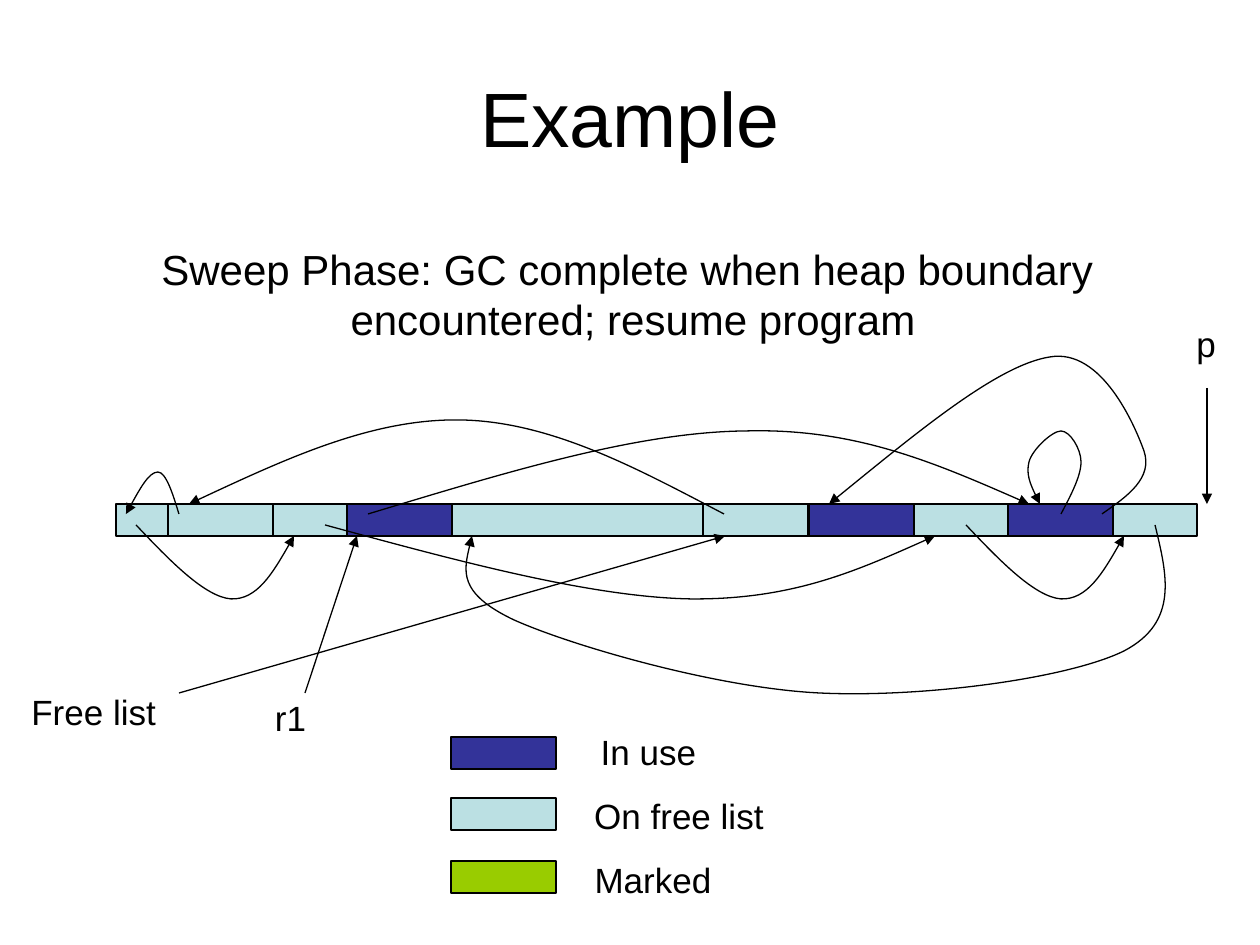
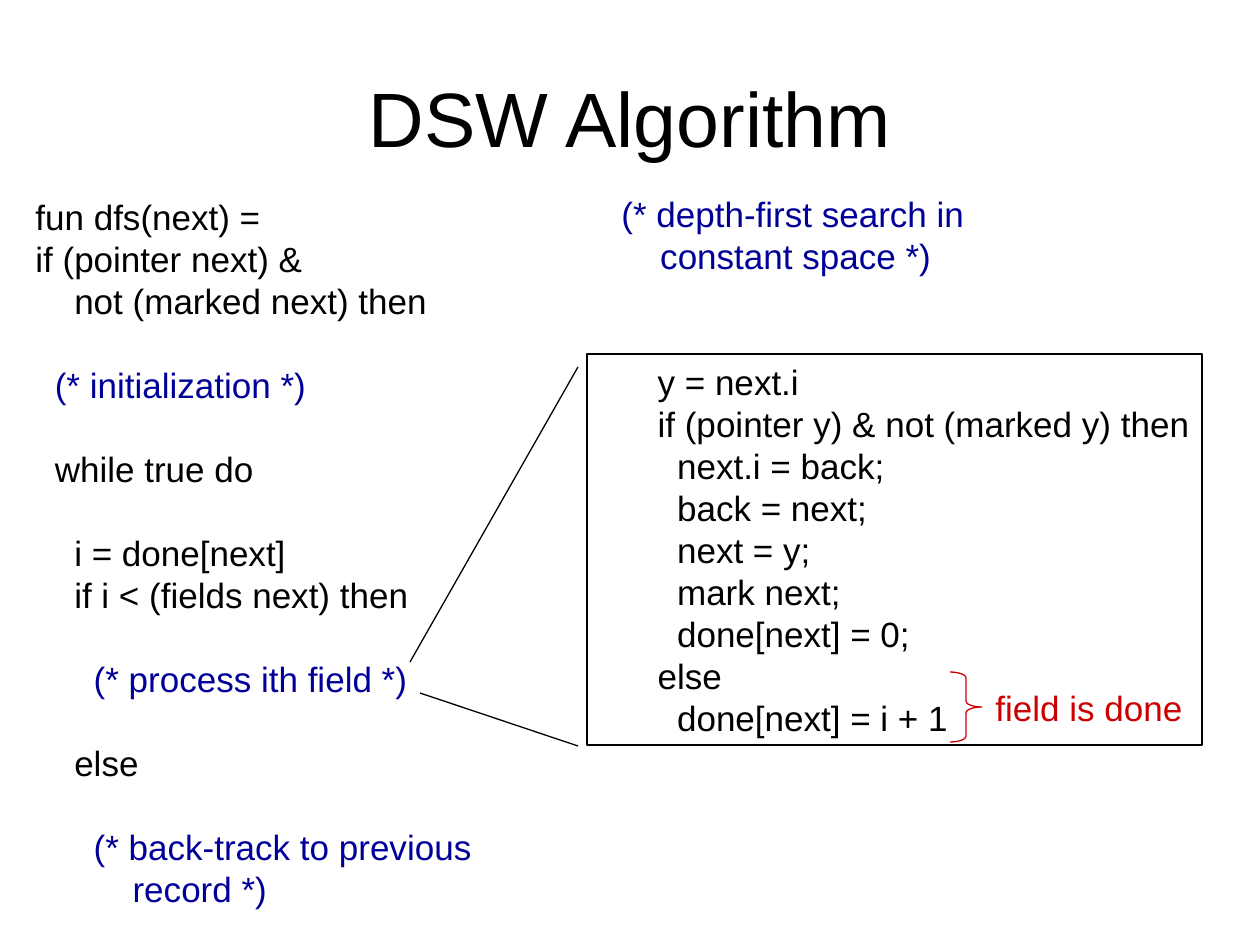
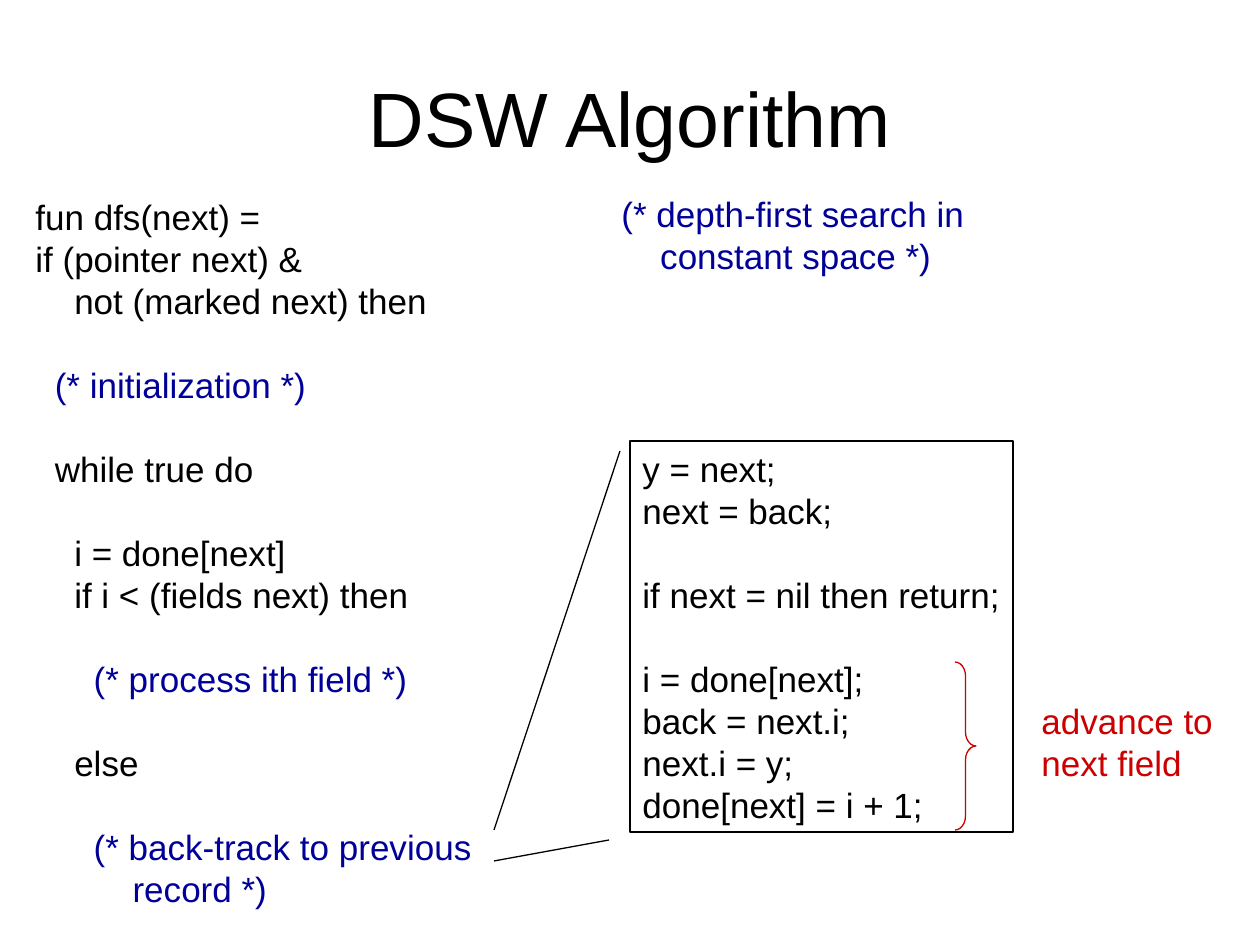
from lxml import etree
from pptx import Presentation
from pptx import util as u
from pptx.dml.color import RGBColor
from pptx.enum import shapes, text
from pptx.oxml.ns import qn

BLACK, BLUE, RED = "000000", "000099", "CC0000"
IN_USE, FREE, MARKED = "333399", "BBE0E3", "99CC00"
SHAPE = shapes.MSO_SHAPE
LEFT, CENTER = text.PP_ALIGN.LEFT, text.PP_ALIGN.CENTER
TOP, MIDDLE = text.MSO_ANCHOR.TOP, text.MSO_ANCHOR.MIDDLE

DFS_CODE = """fun dfs(next) =
if (pointer next) &
    not (marked next) then

  (* initialization *)

  while true do

    i = done[next]
    if i < (fields next) then

      (* process ith field *)

    else

      (* back-track to previous
          record *)"""

DFS_COMMENT = """(* depth-first search in
    constant space *)"""

FIELD_CODE = """      y = next.i
      if (pointer y) & not (marked y) then
        next.i = back;
        back = next;
        next = y;
        mark next;
        done[next] = 0;
      else
        done[next] = i + 1"""

BACKTRACK_CODE = """y = next;
next = back;

if next = nil then return;

i = done[next];
back = next.i;
next.i = y;
done[next] = i + 1;"""

NEXT_FREE = [(136, 525), (170, 561), (205, 597), (231, 599),
             (257, 600), (276, 568), (294, 536)]
POINTERS = [
    NEXT_FREE,
    [(x + 830, y) for x, y in NEXT_FREE],
    [(325, 525), (457, 561), (590, 597), (690, 599),
     (793, 600), (863, 568), (935, 536)],
    [(1155, 525), (1167, 575), (1179, 622), (1124, 651),
     (1067, 679), (921, 698), (819, 693),
     (717, 688), (572, 646), (514, 620),
     (457, 593), (465, 564), (472, 536)],
    [(368, 514), (501, 474), (635, 432), (746, 431),
     (856, 428), (942, 466), (1029, 504)],
    [(1061, 514), (1071, 495), (1081, 476), (1081, 462),
     (1081, 449), (1070, 431), (1061, 431),
     (1052, 431), (1032, 450), (1029, 462),
     (1026, 474), (1032, 489), (1040, 504)],
    [(1102, 514), (1128, 496), (1153, 478), (1144, 451),
     (1135, 426), (1102, 348), (1050, 357),
     (998, 365), (914, 435), (829, 504)],
    [(179, 514), (173, 494), (166, 472), (158, 472),
     (149, 472), (137, 494), (126, 514)],
    [(724, 514), (638, 469), (552, 422), (462, 420),
     (373, 418), (281, 461), (189, 504)],
]


def px(n):
    return u.Emu(round(n * 914400 / 126))


def rgb(value):
    return RGBColor.from_string(value)


def outline(sp, color=BLACK, arrow=False):
    sp.line.color.rgb = rgb(color)
    sp.line.width = u.Pt(0.75)
    if arrow:
        ln = sp._element.spPr.find(qn("a:ln"))
        etree.SubElement(ln, qn("a:tailEnd"), type="triangle")


def write(sp, content, size=20, color=BLACK, align=LEFT, anchor=TOP):
    tf = sp.text_frame
    frame = {"word_wrap": True, "auto_size": text.MSO_AUTO_SIZE.NONE,
             "vertical_anchor": anchor, "margin_right": 0,
             "margin_left": 0 if align == CENTER else u.Inches(0.1)}
    for name, value in frame.items():
        setattr(tf, name, value)
    pitch = u.Pt(size * 1.2)
    p, gap, comment = tf.paragraphs[0], 0, False
    for i, line in enumerate(content.split("\n")):
        if not line:
            gap += pitch
            continue
        if i:
            p = tf.add_paragraph()
        comment = comment or "(*" in line
        layout = {"alignment": align, "line_spacing": pitch, "space_before": u.Emu(gap)}
        for name, value in layout.items():
            setattr(p, name, value)
        r = p.add_run()
        r.text = line
        for name, value in {"name": "Arial", "size": u.Pt(size)}.items():
            setattr(r.font, name, value)
        r.font.color.rgb = rgb(BLUE if comment else color)
        comment = comment and "*)" not in line
        gap = 0


def label(s, box, content, **style):
    write(s.shapes.add_textbox(*map(px, box)), content, **style)


def rect(s, box, fill=None):
    sp = s.shapes.add_shape(SHAPE.RECTANGLE, *map(px, box))
    sp.shadow.inherit = False
    if fill:
        sp.fill.solid()
        sp.fill.fore_color.rgb = rgb(fill)
    else:
        sp.fill.background()
    outline(sp)
    return sp


def brace(s, box):
    sp = s.shapes.add_shape(SHAPE.RIGHT_BRACE, *map(px, box))
    sp.shadow.inherit = False
    sp.fill.background()
    sp.adjustments[0] = box[3] / box[2] / 12
    outline(sp, RED)


def line(s, start, end, arrow=False):
    sp = s.shapes.add_connector(shapes.MSO_CONNECTOR.STRAIGHT, *map(px, start + end))
    outline(sp, arrow=arrow)
    etree.SubElement(sp._element.spPr, qn("a:effectLst"))


def curve(s, points):
    start, *rest = [(px(x), px(y)) for x, y in points]
    builder = s.shapes.build_freeform(*start)
    builder.add_line_segments(rest, close=False)
    sp = builder.convert_to_shape()
    segments = list(sp._element.iter(qn("a:lnTo")))
    for i in range(0, len(segments), 3):
        first = segments[i]
        bezier = etree.SubElement(first.getparent(), qn("a:cubicBezTo"))
        for segment in segments[i:i + 3]:
            bezier.append(segment[0])
            segment.getparent().remove(segment)
    sp.shadow.inherit = False
    sp.fill.background()
    outline(sp, arrow=True)


def add_slide(prs, title):
    s = prs.slides.add_slide(prs.slide_layouts[6])
    label(s, (63, 38, 1134, 158), title, size=44, align=CENTER, anchor=MIDDLE)
    return s


def sweep_slide(prs):
    s = add_slide(prs, "Example")
    rect(s, (116, 504, 1081, 32), FREE)
    for x, fill in [(168, FREE), (703, FREE), (809, IN_USE), (1008, IN_USE), (347, IN_USE)]:
        rect(s, (x, 504, 105, 32), fill)
    for points in POINTERS:
        curve(s, points)
    for start, end in [((179, 693), (725, 536)), ((305, 693), (357, 536)),
                       ((1207, 388), (1207, 504))]:
        line(s, start, end, arrow=True)
    label(s, (19, 684, 150, 55), "Free list")
    label(s, (262, 690, 57, 55), "r1", align=CENTER)
    label(s, (1184, 316, 44, 55), "p", align=CENTER)
    label(s, (149, 237, 968, 113),
          "Sweep Phase: GC complete when heap boundary \nencountered; resume program",
          size=24, align=CENTER)
    for y, fill, box, name in [(737, IN_USE, (588, 724, 121, 55), "In use"),
                               (798, FREE, (582, 788, 194, 55), "On free list"),
                               (861, MARKED, (582, 852, 142, 55), "Marked")]:
        rect(s, (451, y, 105, 32), fill)
        label(s, box, name, align=CENTER)


def dsw_slide(prs, code_box, code, brace_box, note_box, note, zoom_lines):
    s = add_slide(prs, "DSW Algorithm")
    label(s, (23, 189, 471, 727), DFS_CODE)
    write(rect(s, code_box), code)
    label(s, (609, 186, 378, 97), DFS_COMMENT)
    brace(s, brace_box)
    label(s, note_box, note, color=RED)
    for start, end in zoom_lines:
        line(s, start, end)


def main():
    prs = Presentation()
    prs.slide_width, prs.slide_height = px(1260), px(945)
    sweep_slide(prs)
    dsw_slide(prs, (587, 354, 615, 391), FIELD_CODE, (950, 672, 32, 70),
              (983, 680, 222, 55), "field is done",
              [((410, 662), (578, 367)), ((420, 693), (578, 746))])
    dsw_slide(prs, (630, 441, 383, 391), BACKTRACK_CODE, (955, 662, 21, 168),
              (1029, 693, 197, 97), "advance to\nnext field",
              [((494, 861), (609, 840)), ((494, 830), (620, 451))])
    prs.save("out.pptx")


if __name__ == "__main__":
    main()
